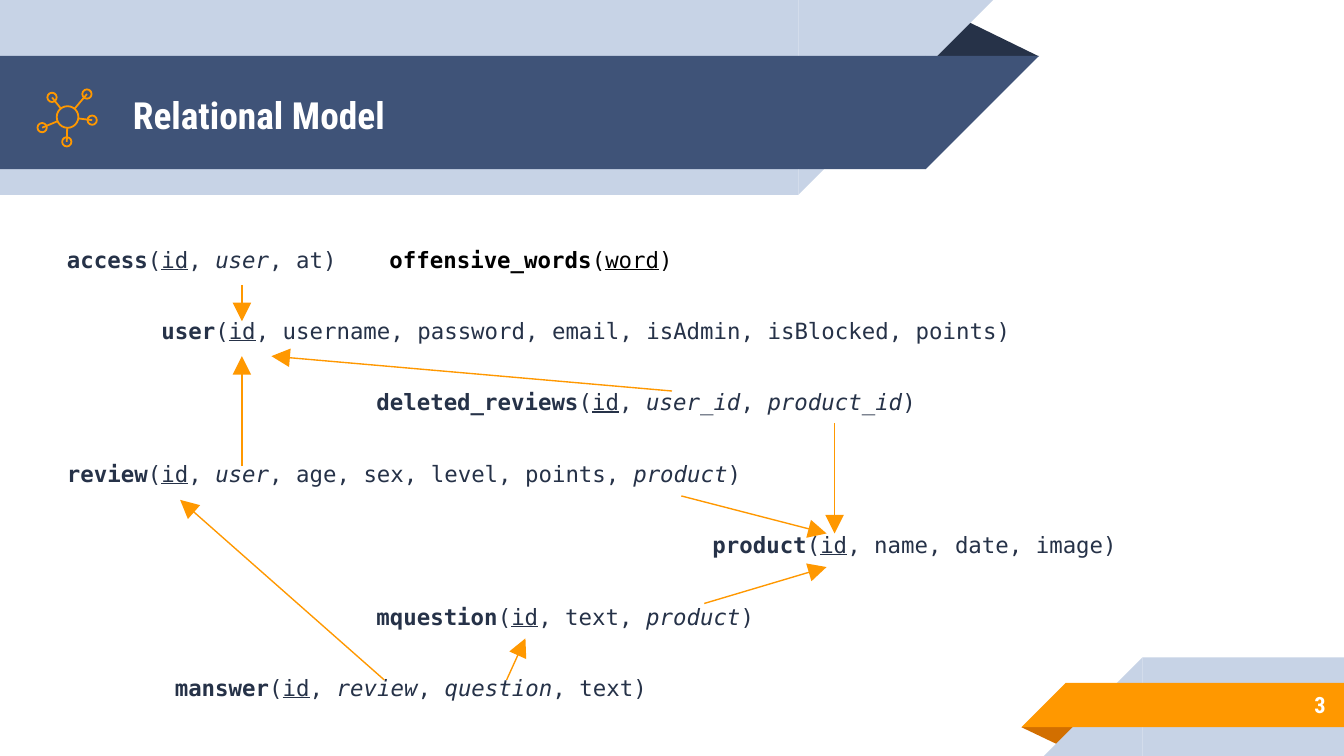
from dataclasses import dataclass
from math import hypot

from lxml.etree import SubElement
from pptx import Presentation
from pptx.dml.color import RGBColor
from pptx.enum.shapes import MSO_CONNECTOR, MSO_SHAPE
from pptx.enum.text import MSO_ANCHOR, PP_ALIGN
from pptx.oxml.ns import qn
from pptx.util import Pt


@dataclass(frozen=True)
class Theme:
    """Colours, fonts and sizes of the slide."""
    pale: str = "C7D3E6"
    navy: str = "3F5378"
    ink: str = "263248"
    orange: str = "FF9800"
    rust: str = "D26F00"
    white: str = "FFFFFF"
    black: str = "000000"
    heading_font: str = "Roboto Condensed"
    code_font: str = "DejaVu Sans Mono"
    title_size: float = 20
    body_size: float = 12
    icon_line: float = 0.96
    arrow_line: float = 0.75


THEME = Theme()

RELATIONS = [
    (7.2, "access", "id", ", *user*, at)"),
    (57.8, "user", "id", ", username, password, email, isAdmin, isBlocked, points)"),
    (173, "deleted_reviews", "id", ", *user_id*, *product_id*)"),
    (7.2, "review", "id", ", *user*, age, sex, level, points, *product*)"),
    (353, "product", "id", ", name, date, image)"),
    (173, "mquestion", "id", ", text, *product*)"),
    (65, "manswer", "id", ", *review*, *question*, text)"),
]

REFERENCES = [
    (129.6, 152.6, 129.6, 172.1),
    (360, 209.5, 145.4, 190.8),
    (129.6, 249.8, 129.6, 190.8),
    (447.1, 226.8, 447.1, 285.8),
    (271.4, 364.3, 281.5, 342),
    (205.9, 364.3, 96.5, 267.8),
    (365, 265.7, 442.8, 285.8),
    (377.3, 323.3, 442.8, 303.8),
]

ICON_NODES = [(46.6, 50.4), (27.9, 52.2), (22.6, 68.4), (35.8, 76), (49.4, 64.4)]


def color(value):
    """Turn a hex string into a colour."""
    return RGBColor.from_string(value)


def add_filled(slide, preset, box, fill, rotation=0):
    """Add a borderless preset shape."""
    shape = slide.shapes.add_shape(preset, *map(Pt, box))
    shape.shadow.inherit = False
    shape.fill.solid()
    shape.fill.fore_color.rgb = color(fill)
    shape.line.fill.background()
    shape.rotation = rotation
    return shape


def add_ribbon(slide, box, fill, slant_left=False):
    """Add a band with a 45-degree end on one side."""
    left, top, width, height = box
    slant = left - height if slant_left else left + width
    add_filled(slide, MSO_SHAPE.RECTANGLE, box, fill)
    add_filled(slide, MSO_SHAPE.RIGHT_TRIANGLE, (slant, top, height, height), fill,
               270 if slant_left else 90)


def add_fold(slide, box, fill, rotation=0):
    """Add the dark folded corner behind a ribbon."""
    add_filled(slide, MSO_SHAPE.ISOSCELES_TRIANGLE, box, fill, rotation).adjustments[0] = 0.324


def add_ring(slide, center, radius):
    """Add an unfilled circle of the icon."""
    x, y = center
    ring = slide.shapes.add_shape(MSO_SHAPE.OVAL, Pt(x - radius), Pt(y - radius),
                                  Pt(2 * radius), Pt(2 * radius))
    ring.shadow.inherit = False
    ring.fill.background()
    ring.line.color.rgb = color(THEME.orange)
    ring.line.width = Pt(THEME.icon_line)


def add_line(slide, ends, width, arrow=False):
    """Add a straight orange line, with an arrowhead at its end if asked."""
    line = slide.shapes.add_connector(MSO_CONNECTOR.STRAIGHT, *map(Pt, ends))
    line.line.color.rgb = color(THEME.orange)
    line.line.width = Pt(width)
    properties = line.line._get_or_add_ln()
    if arrow:
        SubElement(properties, qn("a:tailEnd"), type="triangle", w="lg", len="lg")
    SubElement(properties.getparent(), qn("a:effectLst"))


def add_network_icon(slide):
    """Draw a hub joined to its nodes."""
    hub, hub_radius = (36.2, 62.7), 5.8
    add_ring(slide, hub, hub_radius)
    for x, y in ICON_NODES:
        add_ring(slide, (x, y), 2.5)
        reach = hub_radius / hypot(x - hub[0], y - hub[1])
        rim = hub[0] + (x - hub[0]) * reach, hub[1] + (y - hub[1]) * reach
        add_line(slide, (x, y, *rim), THEME.icon_line)


def add_frame(slide, box):
    """Add a wrapping, vertically centred text box and return its frame."""
    frame = slide.shapes.add_textbox(*map(Pt, box)).text_frame
    frame.word_wrap = True
    frame.vertical_anchor = MSO_ANCHOR.MIDDLE
    frame.margin_left = frame.margin_right = frame.margin_top = frame.margin_bottom = Pt(7.2)
    return frame


def style(font, name, size, fill, bold=False):
    """Set the look of a font."""
    font.name, font.size, font.bold = name, Pt(size), bold
    font.color.rgb = color(fill)


def add_heading(slide, box, text, size, align=PP_ALIGN.LEFT):
    """Add a bold white line of text."""
    paragraph = add_frame(slide, box).paragraphs[0]
    paragraph.alignment = align
    paragraph.add_run().text = text
    style(paragraph.font, THEME.heading_font, size, THEME.white, bold=True)


def add_run(paragraph, text, **traits):
    """Add a run with the given font traits."""
    run = paragraph.add_run()
    run.text = text
    for trait, value in traits.items():
        setattr(run.font, trait, value)
    return run


def write_relation(paragraph, name, key, rest):
    """Write a relation: bold name, underlined key, italic references."""
    runs = [add_run(paragraph, name, bold=True), add_run(paragraph, "("),
            add_run(paragraph, key, underline=True)]
    for index, part in enumerate(rest.split("*")):
        traits = {"italic": True} if index % 2 else {}
        runs.append(add_run(paragraph, part, **traits))
    return runs


def add_schema(slide):
    """List the relations, one indented line each."""
    frame = add_frame(slide, (21.6, 119.5, 659.5, 270))
    for index, (indent, *relation) in enumerate(RELATIONS):
        paragraph = frame.add_paragraph() if index else frame.paragraphs[0]
        paragraph.line_spacing = 0.9
        paragraph.space_before = Pt(25.3 if index else 0)
        style(paragraph.font, THEME.code_font, THEME.body_size, THEME.ink)
        properties = paragraph._p.get_or_add_pPr()
        properties.set("marL", "0")
        properties.set("indent", str(Pt(indent)))
        write_relation(paragraph, *relation)
    first = frame.paragraphs[0]
    stops = SubElement(first._p.pPr, qn("a:tabLst"))
    first._p.pPr.find(qn("a:defRPr")).addprevious(stops)
    SubElement(stops, qn("a:tab"), pos=str(Pt(360)), algn="l")
    add_run(first, "\t")
    for run in write_relation(first, "offensive_words", "word", ")"):
        run.font.color.rgb = color(THEME.black)


def main():
    """Build the slide and save it."""
    deck = Presentation()
    deck.slide_width, deck.slide_height = Pt(720), Pt(405)
    slide = deck.slides.add_slide(deck.slide_layouts[6])
    add_fold(slide, (547.2, 389.6, 31, 10), THEME.rust, 180)
    add_ribbon(slide, (612, 352.2, 108, 52.8), THEME.pale, slant_left=True)
    add_ribbon(slide, (571, 365.8, 149, 23.8), THEME.orange, slant_left=True)
    add_fold(slide, (495.4, 10, 61.2, 20.2), THEME.ink)
    add_ribbon(slide, (0, 0, 427.7, 104.4), THEME.pale)
    add_ribbon(slide, (0, 30, 496, 60.6), THEME.navy)
    add_heading(slide, (64.1, 31, 432.7, 60.5), "Relational Model", THEME.title_size)
    add_heading(slide, (599.8, 365, 117.4, 25.2), "3", THEME.body_size, PP_ALIGN.RIGHT)
    add_network_icon(slide)
    add_schema(slide)
    for reference in REFERENCES:
        add_line(slide, reference, THEME.arrow_line, arrow=True)
    deck.save("out.pptx")


if __name__ == "__main__":
    main()
